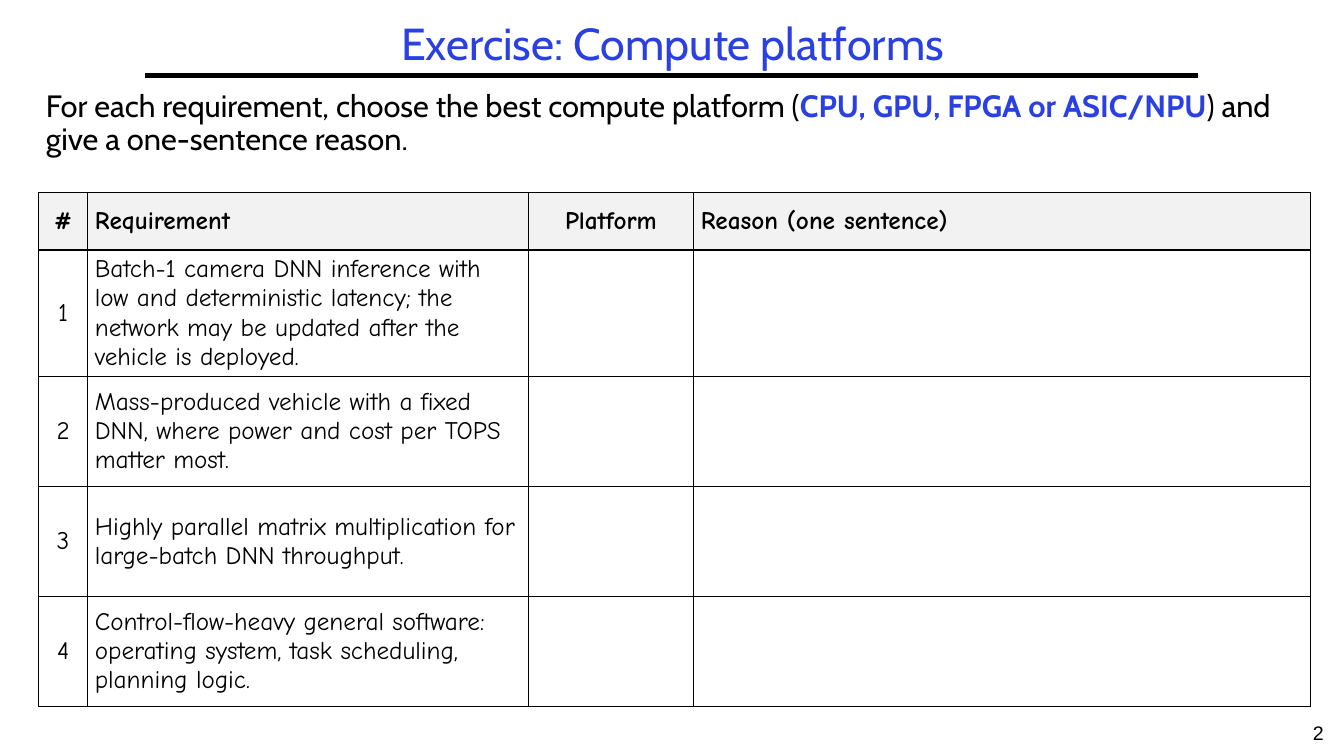
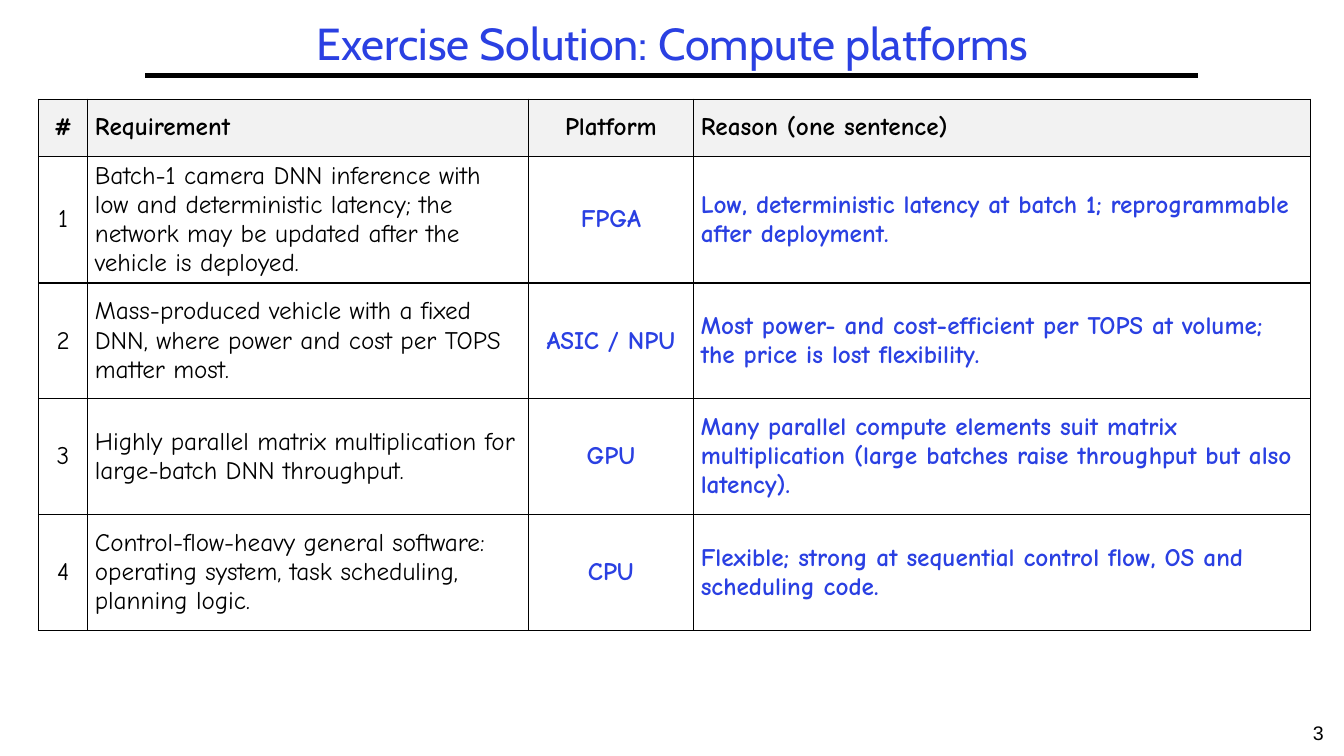
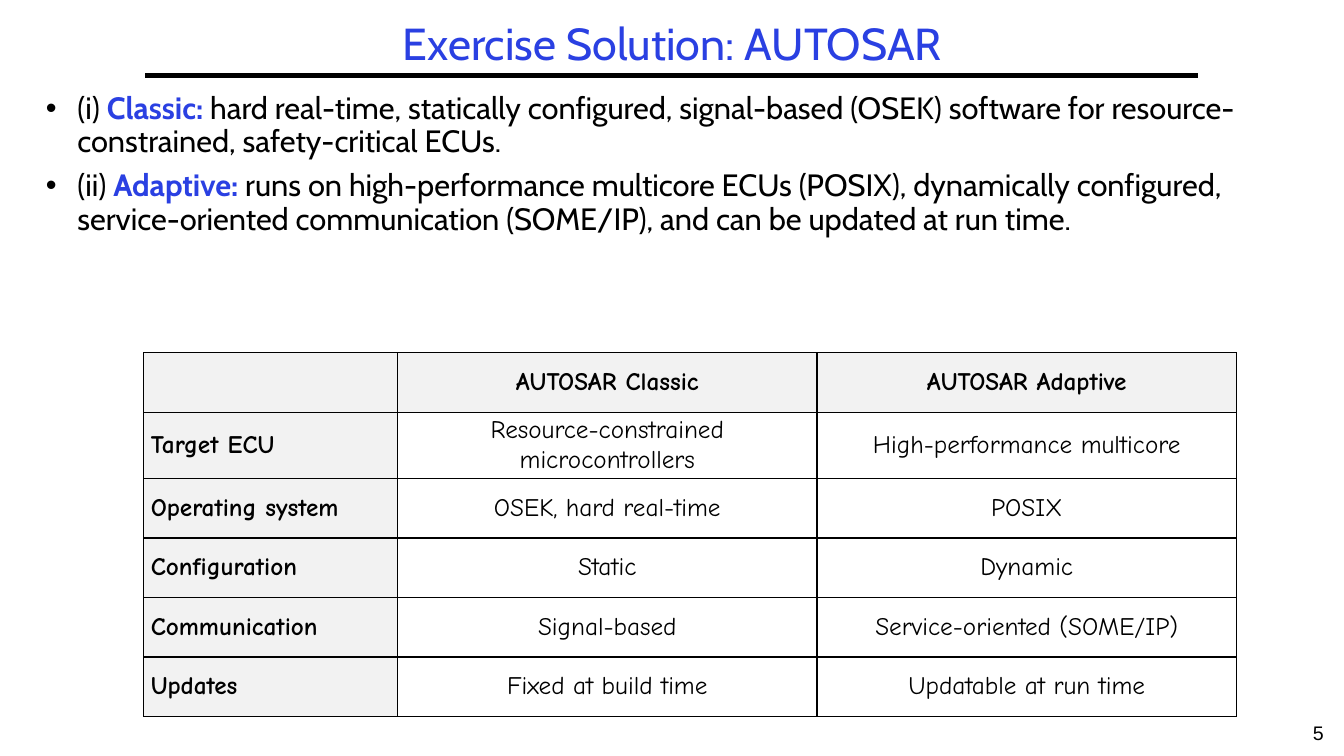
"""Build three exercise slides on compute platforms and AUTOSAR."""
import pptx
import pptx.dml.color
import pptx.enum.shapes
import pptx.enum.text
import pptx.oxml.ns
import pptx.util
from lxml import etree

Cm, Pt, qn = pptx.util.Cm, pptx.util.Pt, pptx.oxml.ns.qn
ALIGN, ANCHOR = pptx.enum.text.PP_ALIGN, pptx.enum.text.MSO_ANCHOR
BLACK, BLUE, GRAY = "000000", "2A40E2", "F2F2F2"
TITLE = dict(font="Cabin", size=32, color=BLUE)
BODY = dict(font="Cabin", size=22, color=BLACK)
KEYWORD = dict(BODY, color=BLUE, bold=True)
PAGE = dict(font="Arial", size=14, color=BLACK)
CELL = dict(font="Comic Neue", size=18, color=BLACK)
HEADING = dict(CELL, bold=True)
ANSWER = dict(HEADING, color=BLUE)

PLATFORM_HEADER = ("#", "Requirement", "Platform", "Reason (one sentence)")
REQUIREMENTS = [
    "Batch-1 camera DNN inference with low and deterministic latency; "
    "the network may be updated after the vehicle is deployed.",
    "Mass-produced vehicle with a fixed DNN, where power and cost per TOPS matter most.",
    "Highly parallel matrix multiplication for large-batch DNN throughput.",
    "Control-flow-heavy general software: operating system, task scheduling, planning logic.",
]
SOLUTIONS = [
    ("FPGA", "Low, deterministic latency at batch 1; reprogrammable after deployment."),
    ("ASIC / NPU", "Most power- and cost-efficient per TOPS at volume; the price is lost flexibility."),
    ("GPU", "Many parallel compute elements suit matrix multiplication "
            "(large batches raise throughput but also latency)."),
    ("CPU", "Flexible; strong at sequential control flow, OS and scheduling code."),
]
AUTOSAR_ROWS = [
    ("", "AUTOSAR Classic", "AUTOSAR Adaptive"),
    ("Target ECU", "Resource-constrained microcontrollers", "High-performance multicore"),
    ("Operating system", "OSEK, hard real-time", "POSIX"),
    ("Configuration", "Static", "Dynamic"),
    ("Communication", "Signal-based", "Service-oriented (SOME/IP)"),
    ("Updates", "Fixed at build time", "Updatable at run time"),
]
PLATFORM_COLUMNS = [
    (1.24, ALIGN.CENTER, CELL, None),
    (11.1, ALIGN.LEFT, CELL, None),
    (4.17, ALIGN.CENTER, ANSWER, None),
    (15.55, ALIGN.LEFT, ANSWER, None),
]
AUTOSAR_COLUMNS = [
    (6.4, ALIGN.LEFT, HEADING, GRAY),
    (10.57, ALIGN.CENTER, CELL, None),
    (10.57, ALIGN.CENTER, CELL, None),
]


def platform_rows(answers):
    """Number the requirements and join them with their answers."""
    numbered = enumerate(zip(REQUIREMENTS, answers), 1)
    return [PLATFORM_HEADER] + [(str(n), need, *answer) for n, (need, answer) in numbered]


SLIDES = [
    dict(
        page="2", title="Exercise: Compute platforms", bullets=False,
        body_box=(0.91, 2.16, 31.95, 2.49),
        body=[[("For each requirement, choose the best compute platform (", BODY),
               ("CPU, GPU, FPGA or ASIC/NPU", KEYWORD),
               (") and give a one-sentence reason.", BODY)]],
        rows=platform_rows([("", "")] * len(REQUIREMENTS)), columns=PLATFORM_COLUMNS,
        corner=(0.97, 4.86), heights=(1.44, 2.77)),
    dict(
        page="3", title="Exercise Solution: Compute platforms", body=[],
        rows=platform_rows(SOLUTIONS), columns=PLATFORM_COLUMNS,
        corner=(0.97, 2.5), heights=(1.44, 2.92)),
    dict(
        page="5", title="Exercise Solution: AUTOSAR", bullets=True,
        body_box=(0.91, 2.21, 31.95, 6.12),
        body=[[("(i) ", BODY), ("Classic:", KEYWORD),
               (" hard real-time, statically configured, signal-based (OSEK) software "
                "for resource-constrained, safety-critical ECUs.", BODY)],
              [("(ii) ", BODY), ("Adaptive:", KEYWORD),
               (" runs on high-performance multicore ECUs (POSIX), dynamically configured, "
                "service-oriented communication (SOME/IP), and can be updated at run time.", BODY)]],
        rows=AUTOSAR_ROWS, columns=AUTOSAR_COLUMNS,
        corner=(3.62, 8.89), heights=(1.5, 1.5)),
]


def rgb(color):
    """Turn a hex string into a colour."""
    return pptx.dml.color.RGBColor.from_string(color)


def add_run(paragraph, text, style):
    """Append one styled run."""
    run = paragraph.add_run()
    run.text = text
    run.font.name, run.font.size = style["font"], Pt(style["size"])
    run.font.bold = style.get("bold", False)
    run.font.color.rgb = rgb(style["color"])


def add_text(slide, box, paragraphs, align=ALIGN.LEFT, anchor=ANCHOR.TOP, spacing=0.9, bullets=False):
    """Add a wrapped text box holding lists of styled runs."""
    frame = slide.shapes.add_textbox(*map(Cm, box)).text_frame
    frame.word_wrap, frame.vertical_anchor = True, anchor
    for index, runs in enumerate(paragraphs):
        paragraph = frame.add_paragraph() if index else frame.paragraphs[0]
        if bullets:
            properties = paragraph._p.get_or_add_pPr()
            properties.set("marL", str(Cm(0.79)))
            properties.set("indent", str(-Cm(0.79)))
            etree.SubElement(properties, qn("a:buFont"), typeface="Arial")
            etree.SubElement(properties, qn("a:buChar"), char="•")
        paragraph.alignment, paragraph.line_spacing = align, spacing
        if index:
            paragraph.space_before = Pt(8)
        for text, style in runs:
            add_run(paragraph, text, style)


def add_frame(slide, title, page):
    """Add the rule, page number and title shared by all slides."""
    rule = slide.shapes.add_connector(
        pptx.enum.shapes.MSO_CONNECTOR.STRAIGHT, Cm(3.66), Cm(1.9), Cm(30.2), Cm(1.9))
    rule.line.color.rgb, rule.line.width = rgb(BLACK), Pt(3)
    etree.SubElement(rule._element.spPr, qn("a:effectLst"))
    add_text(slide, (32.59, 18.03, 1.27, 1.02), [[(page, PAGE)]], ALIGN.CENTER, spacing=1.0)
    add_text(slide, (3.66, 0.43, 26.59, 1.47), [[(title, TITLE)]], ALIGN.CENTER, ANCHOR.MIDDLE)


def add_borders(cell):
    """Draw a thin black line on each side of a cell."""
    properties = cell._tc.get_or_add_tcPr()
    for side in ("lnL", "lnR", "lnT", "lnB"):
        border = etree.SubElement(properties, qn("a:" + side), w=str(Pt(1)))
        fill = etree.SubElement(border, qn("a:solidFill"))
        etree.SubElement(fill, qn("a:srgbClr"), val=BLACK)


def fill_cell(cell, text, align, style, shade):
    """Set the text, margins, borders and fill of a cell."""
    cell.margin_left = cell.margin_right = Cm(0.18)
    cell.margin_top = cell.margin_bottom = Cm(0.07)
    cell.vertical_anchor = ANCHOR.MIDDLE
    add_borders(cell)
    if shade:
        cell.fill.solid()
        cell.fill.fore_color.rgb = rgb(shade)
    else:
        cell.fill.background()
    if text:
        paragraph = cell.text_frame.paragraphs[0]
        paragraph.alignment = align
        add_run(paragraph, text, style)


def add_grid(slide, rows, columns, corner, heights):
    """Add a bordered table with a shaded header row."""
    header_height, row_height = heights
    size = (sum(column[0] for column in columns), header_height + row_height * (len(rows) - 1))
    table = slide.shapes.add_table(len(rows), len(columns), *map(Cm, corner + size)).table
    table.first_row = table.horz_banding = False
    for index, (width, *_) in enumerate(columns):
        table.columns[index].width = Cm(width)
    for r, texts in enumerate(rows):
        table.rows[r].height = Cm(row_height if r else header_height)
        for c, (text, (_, align, style, shade)) in enumerate(zip(texts, columns)):
            look = (style, shade) if r else (HEADING, GRAY)
            fill_cell(table.cell(r, c), text, align, *look)


def main():
    """Build and save the presentation."""
    deck = pptx.Presentation()
    deck.slide_width, deck.slide_height = Cm(33.87), Cm(19.05)
    for content in SLIDES:
        slide = deck.slides.add_slide(deck.slide_layouts[6])
        add_frame(slide, content["title"], content["page"])
        if content["body"]:
            add_text(slide, content["body_box"], content["body"], bullets=content["bullets"])
        add_grid(slide, content["rows"], content["columns"], content["corner"], content["heights"])
    deck.save("out.pptx")


if __name__ == "__main__":
    main()
